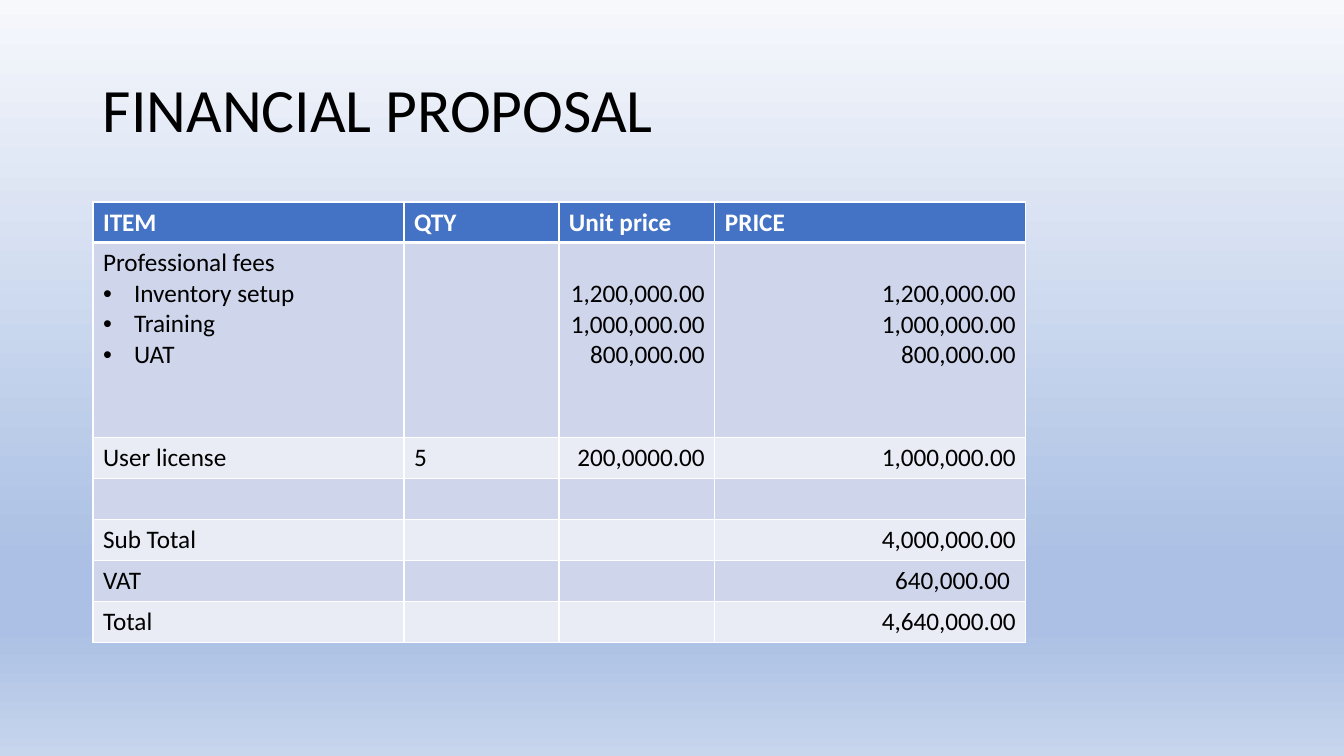
import pptx
import pptx.util
import pptx.dml.color
import pptx.enum.text
import pptx.oxml
import pptx.oxml.ns
from dataclasses import dataclass
from lxml import etree

SCALE = 914400 / 100.8
QN = pptx.oxml.ns.qn
ALIGN = pptx.enum.text.PP_ALIGN
ANCHOR = pptx.enum.text.MSO_ANCHOR


@dataclass(frozen=True)
class Theme:
    face: str = "Calibri"
    title: int = 44
    body: int = 18
    ink: str = "000000"
    white: str = "FFFFFF"
    head: str = "4472C4"
    bands: tuple = ("CFD5EA", "E9EBF5")
    back: tuple = ((0, "F6F8FC"), (74, "ABC0E4"), (83, "ABC0E4"), (100, "C7D5ED"))


THEME = Theme()
FEES = ["1,200,000.00", "1,000,000.00", "800,000.00"]
ROWS = [
    ["ITEM", "QTY", "Unit price", "PRICE"],
    [["Professional fees", "•Inventory setup", "•Training", "•UAT"], "", FEES, FEES],
    ["User license", "5", "200,0000.00", "1,000,000.00"],
    ["", "", "", ""],
    ["Sub Total", "", "", "4,000,000.00"],
    ["VAT", "", "", " 640,000.00 "],
    ["Total", "", "", "4,640,000.00"],
]
WIDTHS = [311, 155, 156, 311]
HEIGHTS = [40, 195] + [41] * 5
LINE = 31


def px(count):
    return pptx.util.Emu(round(count * SCALE))


def rgb(code):
    return pptx.dml.color.RGBColor.from_string(code)


def style(para, size, color, bold=False):
    font = para.font
    font.name, font.size, font.bold = THEME.face, pptx.util.Pt(size), bold
    font.color.rgb = rgb(color)


def paint_back(slide):
    fill = slide.background.fill
    fill.gradient()
    fill.gradient_angle = 270
    stops = slide.element.find(".//" + QN("a:gsLst"))
    for stop in list(stops):
        stops.remove(stop)
    for place, color in THEME.back:
        stop = etree.SubElement(stops, QN("a:gs"), pos=str(place * 1000))
        etree.SubElement(stop, QN("a:srgbClr"), val=color)


def add_title(slide, text):
    box = slide.shapes.add_textbox(px(93), px(40), px(1159), px(146))
    frame = box.text_frame
    frame.word_wrap = True
    frame.vertical_anchor = ANCHOR.MIDDLE
    para = frame.paragraphs[0]
    para.text = text
    para.line_spacing = 0.9
    style(para, THEME.title, THEME.ink)


def add_bullet(para):
    props = para._p.get_or_add_pPr()
    props.set("marL", str(px(LINE)))
    props.set("indent", str(-px(LINE)))
    etree.SubElement(props, QN("a:buFont"), typeface="Arial")
    etree.SubElement(props, QN("a:buChar"), char="•")


def add_edges(cell, top, foot):
    props = cell._tc.get_or_add_tcPr()
    for side, width in (("L", 1), ("R", 1), ("T", top), ("B", foot)):
        edge = etree.SubElement(props, QN("a:ln" + side), w=str(pptx.util.Pt(width)))
        fill = etree.SubElement(edge, QN("a:solidFill"))
        etree.SubElement(fill, QN("a:srgbClr"), val=THEME.white)


def fill_cell(cell, value, row, col):
    head = row == 0
    add_edges(cell, 3 if row == 1 else 1, 3 if head else 1)
    cell.fill.solid()
    cell.fill.fore_color.rgb = rgb(THEME.head if head else THEME.bands[(row - 1) % 2])
    lines = value if isinstance(value, list) else [value]
    # Fee amounts start level with the first bullet
    if value is FEES:
        cell.margin_top = px(5 + LINE)
    frame = cell.text_frame
    for index, text in enumerate(lines):
        para = frame.add_paragraph() if index else frame.paragraphs[0]
        if text:
            para.text = text.removeprefix("•")
        if text.startswith("•"):
            add_bullet(para)
        if col > 1 and not head:
            para.alignment = ALIGN.RIGHT
        style(para, THEME.body, THEME.white if head else THEME.ink, head)


def add_prices(slide):
    frame = slide.shapes.add_table(len(ROWS), len(WIDTHS), px(93), px(202),
                                   px(sum(WIDTHS)), px(sum(HEIGHTS)))
    table = frame.table
    for col, width in zip(table.columns, WIDTHS):
        col.width = px(width)
    for row, height in zip(table.rows, HEIGHTS):
        row.height = px(height)
    for row, values in enumerate(ROWS):
        for col, value in enumerate(values):
            fill_cell(table.cell(row, col), value, row, col)


def main():
    deck = pptx.Presentation()
    deck.slide_width, deck.slide_height = px(1344), px(756)
    slide = deck.slides.add_slide(deck.slide_layouts[6])
    # Background
    paint_back(slide)
    # Title
    add_title(slide, "FINANCIAL PROPOSAL")
    # Price table
    add_prices(slide)
    deck.save("out.pptx")


if __name__ == "__main__":
    main()
